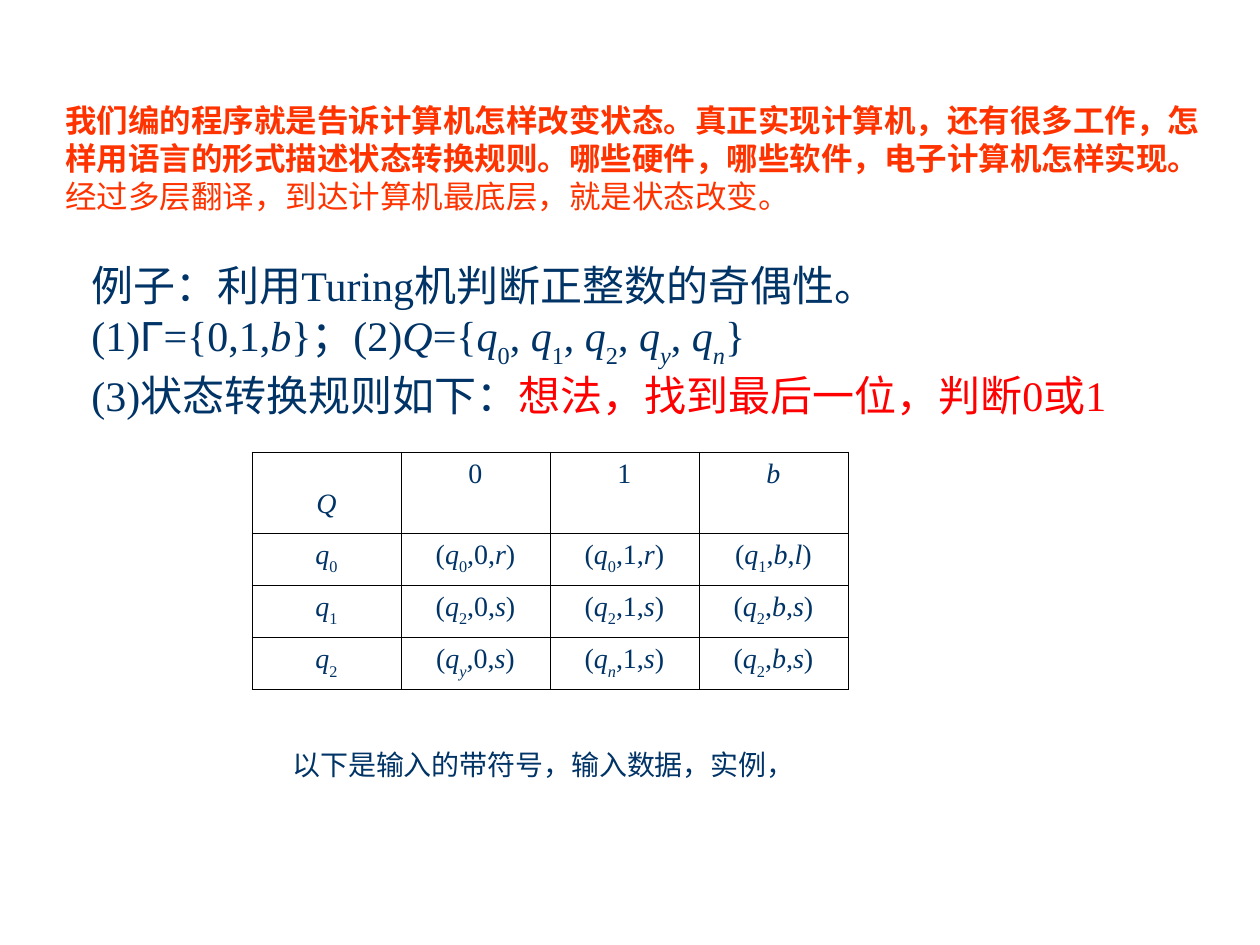
from itertools import groupby

from pptx import Presentation
from pptx.dml.color import RGBColor
from pptx.enum.text import MSO_ANCHOR as ANCHOR, MSO_AUTO_SIZE as AUTO, PP_ALIGN as ALIGN
from pptx.oxml import parse_xml
from pptx.oxml.ns import nsdecls
from pptx.util import Emu, Pt

ORANGE = RGBColor(0xFF, 0x33, 0x00)
NAVY = RGBColor(0x00, 0x33, 0x66)
RED = RGBColor(0xFF, 0x00, 0x00)
BLACK = RGBColor(0x00, 0x00, 0x00)
SANS, SERIF = "Arial", "Times New Roman"

INTRO = (
    ("我们编的程序就是告诉计算机怎样改变状态。真正实现计算机，还有很多工作，"
     "怎样用语言的形式描述状态转换规则。哪些硬件，哪些软件，电子计算机怎样实现。", True),
    ("经过多层翻译，到达计算机最底层，就是状态改变。", False),
)
# An underscore makes the next character a subscript
RULES = (
    ("Q", "0", "1", "b"),
    ("q_0", "(q_0,0,r)", "(q_0,1,r)", "(q_1,b,l)"),
    ("q_1", "(q_2,0,s)", "(q_2,1,s)", "(q_2,b,s)"),
    ("q_2", "(q_y,0,s)", "(q_n,1,s)", "(q_2,b,s)"),
)


def px(count):
    return Emu(round(count * 914400 / 126))


def style(font, size, name, color, bold=None):
    font.size, font.name, font.bold = Pt(size), name, bold
    font.color.rgb = color


def add_span(para, text):
    span = para.add_run()
    span.text = text
    return span


def add_math(para, formula):
    """Write a formula: Latin letters in italics, subscripts lowered."""
    marked = [(char, formula[max(i - 1, 0)] == "_")
              for i, char in enumerate(formula) if char != "_"]

    def look(item):
        char, lowered = item
        return char.isascii() and char.isalpha(), lowered, char == "Γ"

    for (italic, lowered, greek), chars in groupby(marked, key=look):
        span = add_span(para, "".join(char for char, _ in chars))
        if italic:
            span.font.italic = True
        if lowered:
            span.font._element.set("baseline", "-30000")
        if greek:
            span.font.name = SANS


def add_text_frame(page, box, wrap, anchor):
    frame = page.shapes.add_textbox(*map(px, box)).text_frame
    frame.word_wrap = wrap
    frame.auto_size = AUTO.SHAPE_TO_FIT_TEXT
    frame.vertical_anchor = anchor
    return frame


def next_para(frame, index):
    return frame.add_paragraph() if index else frame.paragraphs[0]


def add_intro(page, box):
    frame = add_text_frame(page, box, True, ANCHOR.TOP)
    for index, (text, bold) in enumerate(INTRO):
        para = next_para(frame, index)
        style(para.font, 18, SANS, ORANGE, bold)
        add_span(para, text)


def add_example(page, box):
    frame = add_text_frame(page, box, False, ANCHOR.MIDDLE)
    paras = [next_para(frame, index) for index in range(3)]
    for para in paras:
        style(para.font, 24, SERIF, NAVY)
    heading, sets, rules = paras
    add_span(heading, "例子：利用Turing机判断正整数的奇偶性。")
    add_math(sets, "(1)Γ={0,1,b}；(2)Q={q_0, q_1, q_2, q_y, q_n}")
    add_span(rules, "(3)状态转换规则如下：")
    add_span(rules, "想法，找到最后一位，判断0或1").font.color.rgb = RED


def add_borders(cell):
    props = cell._tc.get_or_add_tcPr()
    for index, side in enumerate(("lnL", "lnR", "lnT", "lnB")):
        props.insert(index, parse_xml(
            f'<a:{side} {nsdecls("a")} w="{Pt(0.45)}"><a:solidFill>'
            f'<a:srgbClr val="{BLACK}"/></a:solidFill></a:{side}>'))


def add_rule_table(page, box, head_height):
    left, top, width, height = box
    rows, cols = len(RULES), len(RULES[0])
    table = page.shapes.add_table(rows, cols, *map(px, box)).table
    table.first_row = table.horz_banding = False
    for column in table.columns:
        column.width = px(width // cols)
    for index, row in enumerate(table.rows):
        row.height = px((height - head_height) // (rows - 1) if index else head_height)
    for row, formulas in enumerate(RULES):
        for col, formula in enumerate(formulas):
            cell = table.cell(row, col)
            cell.fill.background()
            add_borders(cell)
            para = cell.text_frame.paragraphs[0]
            para.alignment = ALIGN.CENTER
            style(para.font, 16, SERIF, NAVY)
            add_math(para, formula)
    # The state symbol sits one line lower than the other headings
    table.cell(0, 0).margin_top = px(37)


def add_note(page, box):
    para = add_text_frame(page, box, False, ANCHOR.MIDDLE).paragraphs[0]
    style(para.font, 16, SERIF, NAVY)
    add_span(para, "以下是输入的带符号，输入数据，实例，")


def main():
    deck = Presentation()
    deck.slide_width, deck.slide_height = px(1260), px(945)
    page = deck.slides.add_slide(deck.slide_layouts[6])
    add_intro(page, (53, 95, 1187, 126))
    add_example(page, (79, 253, 1080, 173))
    add_rule_table(page, (252, 452, 596, 237), 81)
    add_note(page, (280, 741, 530, 47))
    deck.save("out.pptx")


if __name__ == "__main__":
    main()
